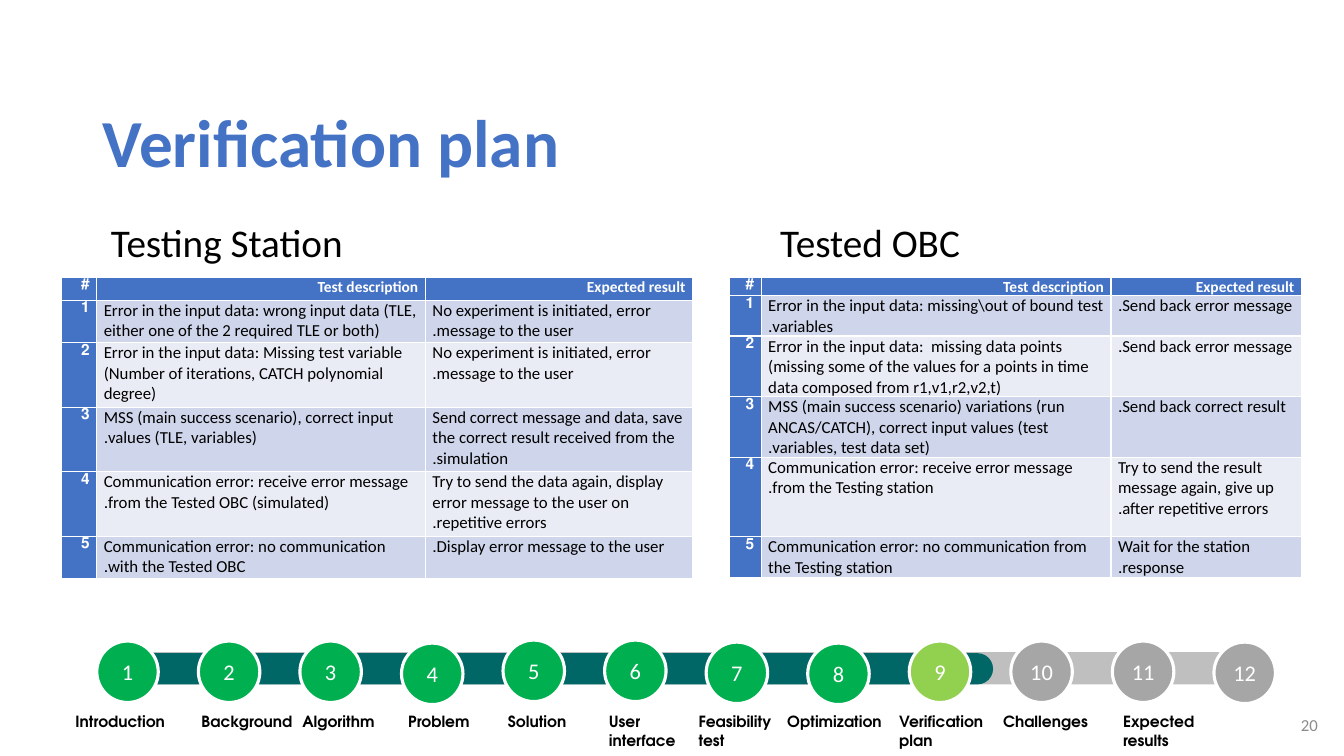
from pptx import Presentation
from pptx import util as u
from pptx.dml.color import RGBColor
from pptx.enum import shapes, text
from pptx.oxml.ns import qn
from lxml import etree

INK = {
    "blue": "4472C4", "band": "CFD5EA", "pale": "E9EBF5", "white": "FFFFFF",
    "black": "000000", "page": "8C8C8C", "track": "BFBFBF", "teal": "006666",
    "done": "00B050", "now": "92D050", "next": "A6A6A6",
}
LEFT, MID, RIGHT = text.PP_ALIGN.LEFT, text.PP_ALIGN.CENTER, text.PP_ALIGN.RIGHT

HEAD = ("#", "Test description", "Expected result")
STATION = [
    ("Error in the input data: wrong input data (TLE, either one of the 2 required TLE or both)",
     "No experiment is initiated, error message to the user."),
    ("Error in the input data: Missing test variable (Number of iterations, CATCH polynomial degree)",
     "No experiment is initiated, error message to the user."),
    ("MSS (main success scenario), correct input values (TLE, variables).",
     "Send correct message and data, save the correct result received from the simulation."),
    ("Communication error: receive error message from the Tested OBC (simulated).",
     "Try to send the data again, display error message to the user on repetitive errors."),
    ("Communication error: no communication with the Tested OBC.",
     "Display error message to the user."),
]
BOARD = [
    ("Error in the input data: missing\\out of bound test variables.",
     "Send back error message."),
    ("Error in the input data:  missing data points (missing some of the values "
     "for a points in time data composed from r1,v1,r2,v2,t)",
     "Send back error message."),
    ("MSS (main success scenario) variations (run ANCAS/CATCH), correct input values "
     "(test variables, test data set).",
     "Send back correct result."),
    ("Communication error: receive error message from the Testing station.",
     "Try to send the result message again, give up after repetitive errors."),
    ("Communication error: no communication from the Testing station",
     "Wait for the station response."),
]
STEPS = [
    (6.36, "Introduction", 0.65, 1.2), (6.36, "Background", 1.9, 1.28),
    (6.36, "Algorithm", 2.9, 0.99), (6.38, "Problem", 3.95, 0.92),
    (6.35, "Solution", 4.94, 0.84), (6.35, "User interface", 5.94, 0.95),
    (6.37, "Feasibility test", 6.83, 1.01), (6.38, "Optimization", 7.71, 1.24),
    (6.36, "Verification\nplan", 8.82, 1.19), (6.36, "Challenges", 9.85, 1.14),
    (6.36, "Expected results", 11.04, 1.01), (6.37, "", 0, 0),
]
NOW = 9


class Deck:
    def __init__(self):
        self.show = Presentation()
        self.show.slide_width = u.Inches(13.33)
        self.show.slide_height = u.Inches(7.5)
        self.slide = self.show.slides.add_slide(self.show.slide_layouts[1])
        self.items = self.slide.shapes

    def color(self, name):
        return RGBColor.from_string(INK[name])

    def letter(self, frame, words, size, ink, bold=False, face="Calibri",
               align=LEFT, rtl=False):
        frame.text = words
        for para in frame.paragraphs:
            para.alignment = align
            if rtl:
                para._p.get_or_add_pPr().set("rtl", "1")
            for run in para.runs:
                font = run.font
                font.size, font.bold, font.name = u.Pt(size), bold, face
                font.color.rgb = self.color(ink)

    def place(self, shape, box):
        shape.left, shape.top, shape.width, shape.height = map(u.Inches, box)

    def title(self, box, words):
        shape = self.items.title
        self.place(shape, box)
        frame = shape.text_frame
        self.letter(frame, words, 48, "blue", bold=True, rtl=True)
        frame.vertical_anchor = text.MSO_ANCHOR.MIDDLE
        frame.paragraphs[0].line_spacing = 0.9

    def heading(self, shape, box, words):
        self.place(shape, box)
        frame = shape.text_frame
        frame.word_wrap = True
        self.letter(frame, words, 28, "black")
        para = frame.paragraphs[0]
        para.line_spacing, para.space_before = 0.9, u.Pt(10)
        props = para._p.get_or_add_pPr()
        props.set("marL", "0")
        props.set("indent", "0")
        etree.SubElement(props, qn("a:buNone"))

    def label(self, box, words, size, ink, **style):
        frame = self.items.add_textbox(*map(u.Inches, box)).text_frame
        frame.word_wrap = True
        self.letter(frame, words, size, ink, **style)
        return frame

    def shape(self, kind, box, ink):
        shape = self.items.add_shape(kind, *map(u.Inches, box))
        shape.shadow.inherit = False
        shape.fill.solid()
        shape.fill.fore_color.rgb = self.color(ink)
        shape.line.fill.background()
        return shape

    def bar(self, box, ink):
        self.shape(shapes.MSO_SHAPE.ROUNDED_RECTANGLE, box, ink).adjustments[0] = 0.5

    def dot(self, box, ink, words):
        shape = self.shape(shapes.MSO_SHAPE.OVAL, box, ink)
        shape.line.color.rgb = self.color("white")
        shape.line.width = u.Pt(2.25)
        frame = shape.text_frame
        frame.vertical_anchor = text.MSO_ANCHOR.MIDDLE
        self.letter(frame, words, 16, "white", align=MID)

    def table(self, box, wide, high, tests):
        rows = [HEAD] + [(str(n), *test) for n, test in enumerate(tests, 1)]
        grid = self.items.add_table(len(rows), len(HEAD), *map(u.Inches, box)).table
        grid.first_col = True
        for col, width in zip(grid.columns, wide):
            col.width = u.Inches(width)
        for r, (row, height) in enumerate(zip(rows, high)):
            grid.rows[r].height = u.Inches(height)
            for c, words in enumerate(row):
                self.cell(grid.cell(r, c), words, r, c)

    def cell(self, cell, words, r, c):
        edge = r == 0 or c == 0
        cell.margin_left = cell.margin_right = u.Inches(0.07)
        cell.margin_top = cell.margin_bottom = 0
        cell.fill.solid()
        fill = "blue" if edge else "band" if r % 2 else "pale"
        cell.fill.fore_color.rgb = self.color(fill)
        self.letter(cell.text_frame, words, 11 if edge else 12,
                    "white" if edge else "black", bold=edge,
                    align=RIGHT if edge else LEFT, rtl=True)


def main():
    deck = Deck()
    deck.title((0.92, 0.72, 11.5, 1.45), "Verification plan")
    deck.heading(deck.slide.placeholders[1], (1, 2.17, 3.77, 0.61), "Testing Station")
    side = (7.64, 2.17, 3.77, 0.61)
    deck.heading(deck.items.add_textbox(*map(u.Inches, side)), side, "Tested OBC")

    deck.table((0.61, 2.75, 6.27, 2.98), (0.35, 3.26, 2.65),
               (0.23, 0.42, 0.64, 0.64, 0.64, 0.42), STATION)
    deck.table((7.23, 2.75, 5.68, 2.98), (0.32, 3.47, 1.89),
               (0.18, 0.4, 0.6, 0.6, 0.79, 0.4), BOARD)

    page = deck.label((12.75, 6.99, 0.42, 0.4), "20", 12, "page", align=RIGHT)
    page.vertical_anchor = text.MSO_ANCHOR.MIDDLE

    deck.bar((1.05, 6.47, 11.19, 0.32), "track")
    deck.bar((1.05, 6.48, 8.8, 0.31), "teal")
    size, first, last = 0.61, 0.96, 12.04
    pitch = (last - first) / (len(STEPS) - 1)
    for n, (top, name, left, width) in enumerate(STEPS, 1):
        ink = "done" if n < NOW else "now" if n == NOW else "next"
        deck.dot((first + (n - 1) * pitch, top, size, size), ink, str(n))
        if name:
            frame = deck.label((left, 7.02, width, 0.29), name, 11, "black",
                               bold=True, face="TeX Gyre Adventor")
            frame.auto_size = text.MSO_AUTO_SIZE.SHAPE_TO_FIT_TEXT

    deck.show.save("out.pptx")


if __name__ == "__main__":
    main()
